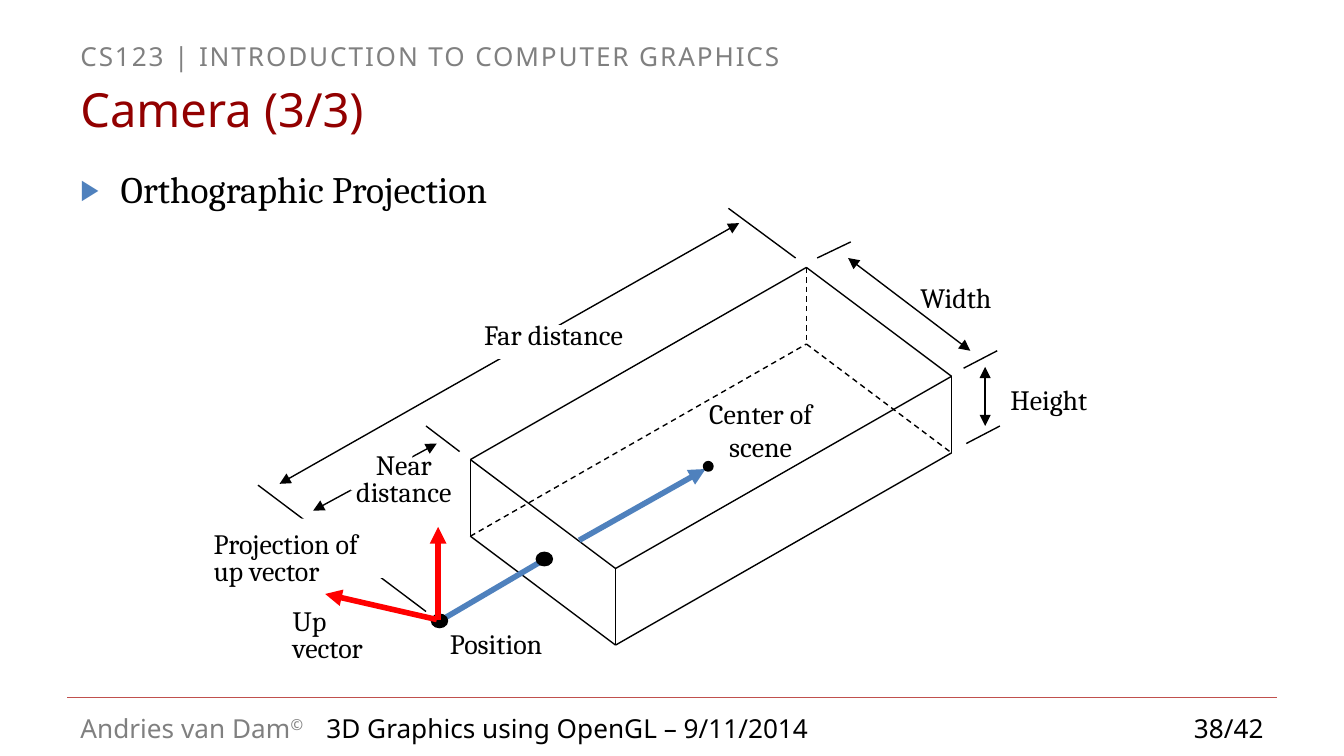
from itertools import combinations, product

from lxml.etree import SubElement
from pptx import Presentation
from pptx.dml.color import RGBColor
from pptx.enum.dml import MSO_LINE
from pptx.enum.shapes import MSO_CONNECTOR, MSO_SHAPE
from pptx.enum.text import MSO_ANCHOR, PP_ALIGN
from pptx.oxml.ns import qn
from pptx.util import Inches, Pt

COLORS = {
    "white": "FFFFFF",
    "black": "000000",
    "gray": "808080",
    "maroon": "920000",
    "rule": "C0504D",
    "blue": "4F81BD",
    "red": "FF0000",
}
SANS = "Noto Sans"
SERIF = "Cambria"


class SlideBuilder:
    def __init__(self, slide):
        self.slide = slide

    def color(self, name):
        return RGBColor.from_string(COLORS[name])

    def line(self, start, end, color="black", width=0.75, dashed=False, arrows=()):
        connector = self.slide.shapes.add_connector(
            MSO_CONNECTOR.STRAIGHT, *[Inches(value) for value in (*start, *end)])
        connector.line.color.rgb = self.color(color)
        connector.line.width = Pt(width)
        if dashed:
            connector.line.dash_style = MSO_LINE.DASH
        properties = connector._element.spPr
        for arrow in arrows:
            SubElement(properties.find(qn("a:ln")), qn(f"a:{arrow}"), type="triangle")
        SubElement(properties, qn("a:effectLst"))

    def dimension(self, start, end):
        self.line(start, end, arrows=("headEnd", "tailEnd"))

    def vector(self, start, end, color):
        self.line(start, end, color, 3, arrows=("tailEnd",))

    def shape(self, kind, box, fill, outline=None):
        shape = self.slide.shapes.add_shape(kind, *[Inches(value) for value in box])
        shape.shadow.inherit = False
        shape.fill.solid()
        shape.fill.fore_color.rgb = self.color(fill)
        if outline:
            shape.line.color.rgb = self.color(fill)
            shape.line.width = Pt(outline)
        else:
            shape.line.fill.background()
        return shape

    def mask(self, box):
        return self.shape(MSO_SHAPE.RECTANGLE, box, "white")

    def dot(self, box, outline=0.75):
        self.shape(MSO_SHAPE.OVAL, box, "black", outline)

    def run(self, paragraph, text, font, size, color="black", **properties):
        run = paragraph.add_run()
        run.text = text
        run.font.name = font
        run.font.size = Pt(size)
        run.font.color.rgb = self.color(color)
        for name, value in properties.items():
            run.font._element.set(name, value)

    def paragraph(self, frame, align=PP_ALIGN.LEFT, anchor=MSO_ANCHOR.TOP):
        frame.word_wrap = True
        frame.vertical_anchor = anchor
        paragraph = frame.paragraphs[0]
        paragraph.alignment = align
        return paragraph

    def text_frame(self, box):
        return self.slide.shapes.add_textbox(*[Inches(value) for value in box]).text_frame

    def text_box(self, box, align=PP_ALIGN.LEFT, anchor=MSO_ANCHOR.TOP):
        return self.paragraph(self.text_frame(box), align, anchor)

    def label(self, box, lines, align=PP_ALIGN.LEFT, spacing=1.0):
        frame = self.text_frame(box)
        paragraph = self.paragraph(frame, align)
        for index, text in enumerate(lines):
            if index:
                paragraph = frame.add_paragraph()
                paragraph.alignment = align
            paragraph.line_spacing = spacing
            self.run(paragraph, text, SERIF, 15)

    def bullet(self, box, text):
        paragraph = self.text_box(box)
        properties = paragraph._element.get_or_add_pPr()
        properties.set("marL", str(Inches(0.3)))
        properties.set("indent", str(-Inches(0.3)))
        bullet_color = SubElement(properties, qn("a:buClr"))
        SubElement(bullet_color, qn("a:srgbClr"), val=COLORS["blue"])
        SubElement(properties, qn("a:buSzPct"), val="76000")
        SubElement(properties, qn("a:buFont"), typeface=SANS)
        SubElement(properties, qn("a:buChar"), char="▶")
        self.run(paragraph, text, SERIF, 20)

    def view_volume(self, corner, depth, width, height):
        hidden = (1, 0, 1)
        for first, second in combinations(product((0, 1), repeat=3), 2):
            if sum(a != b for a, b in zip(first, second)) != 1:
                continue
            start, end = [
                (corner[0] + d * depth[0] + w * width[0],
                 corner[1] + d * depth[1] + w * width[1] + h * height)
                for d, w, h in (first, second)]
            self.line(start, end, dashed=hidden in (first, second))


def add_frame(builder):
    header = builder.mask((0.5, 0.25, 9, 0.25))
    builder.run(builder.paragraph(header.text_frame),
                "CS123 | INTRODUCTION TO COMPUTER GRAPHICS", SANS, 14, "gray", spc="100")
    author = builder.text_box((0.5, 5.25, 1.92, 0.34))
    builder.run(author, "Andries van Dam", SANS, 14, "gray")
    builder.run(author, "©", SANS, 14, "gray", baseline="30000")
    page = builder.text_box((8.17, 5.25, 1.33, 0.34), PP_ALIGN.RIGHT)
    builder.run(page, "38/42", SANS, 14)
    builder.line((0.5, 5.19), (9.5, 5.19), "rule")
    builder.bullet((0.5, 1.19, 9, 3.94), "Orthographic Projection")
    title = builder.text_box((0.5, 0.56, 9, 0.5), anchor=MSO_ANCHOR.MIDDLE)
    builder.run(title, "Camera (3/3)", SANS, 25.2, "maroon")
    footer = builder.text_box((2.33, 5.25, 7.92, 0.26))
    builder.run(footer, "3D Graphics using OpenGL – 9/11/2014", SANS, 14)


def add_camera_diagram(builder):
    builder.dimension((3.25, 3.3), (2.33, 3.8))
    builder.mask((2.61, 3.36, 0.46, 0.29))
    builder.view_volume((3.5, 3.42), depth=(2.5, -1.43), width=(1.08, 0.81), height=0.57)

    extension_lines = [
        ((6.08, 1.92), (6.33, 1.8)),
        ((7.17, 2.74), (7.42, 2.61)),
        ((7.19, 3.3), (7.44, 3.17)),
        ((5.92, 1.92), (5.42, 1.55)),
        ((3.42, 3.36), (3.17, 3.17)),
        ((3.17, 4.55), (1.92, 3.61)),
    ]
    for start, end in extension_lines:
        builder.line(start, end)
    builder.dimension((7.33, 2.73), (7.33, 3.17))
    builder.dimension((6.31, 1.92), (7.22, 2.61))
    builder.dimension((2.08, 3.6), (5.5, 1.66))

    builder.vector((4.31, 4.02), (5.25, 3.49), "blue")
    builder.line((4.04, 4.17), (3.29, 4.61), "blue", 3)
    builder.dot((3.21, 4.57, 0.12, 0.1))
    builder.dot((3.99, 4.11, 0.12, 0.1))
    builder.dot((5.24, 3.44, 0.06, 0.06), 1.5)
    builder.vector((3.26, 4.61), (3.26, 3.92), "red")
    builder.mask((3.67, 2.42, 0.67, 0.25))
    builder.mask((2.17, 3.86, 0.83, 0.44))
    builder.vector((3.25, 4.61), (2.42, 4.42), "red")

    center = PP_ALIGN.CENTER
    builder.label((7.42, 2.8, 1, 0.35), ["Height"])
    builder.label((6.75, 2.04, 1, 0.35), ["Width"])
    builder.label((5.16, 2.9, 1, 0.61), ["Center of scene"], center)
    builder.label((2.34, 3.33, 1.33, 0.51), ["Near distance"], center, 0.8)
    builder.label((3.25, 4.61, 1.33, 0.35), ["Position"])
    builder.label((3.5, 2.36, 1.24, 0.51), ["Far distance"], center, 0.8)
    builder.label((2.08, 4.49, 1, 0.51), ["Up vector"], spacing=0.8)
    builder.label((1.49, 3.92, 1.78, 0.51), ["Projection of", "up vector"], spacing=0.8)


def main():
    presentation = Presentation()
    presentation.slide_width = Inches(10)
    presentation.slide_height = Inches(10 * 9 / 16)
    builder = SlideBuilder(presentation.slides.add_slide(presentation.slide_layouts[6]))
    add_frame(builder)
    add_camera_diagram(builder)
    presentation.save("out.pptx")


if __name__ == "__main__":
    main()
